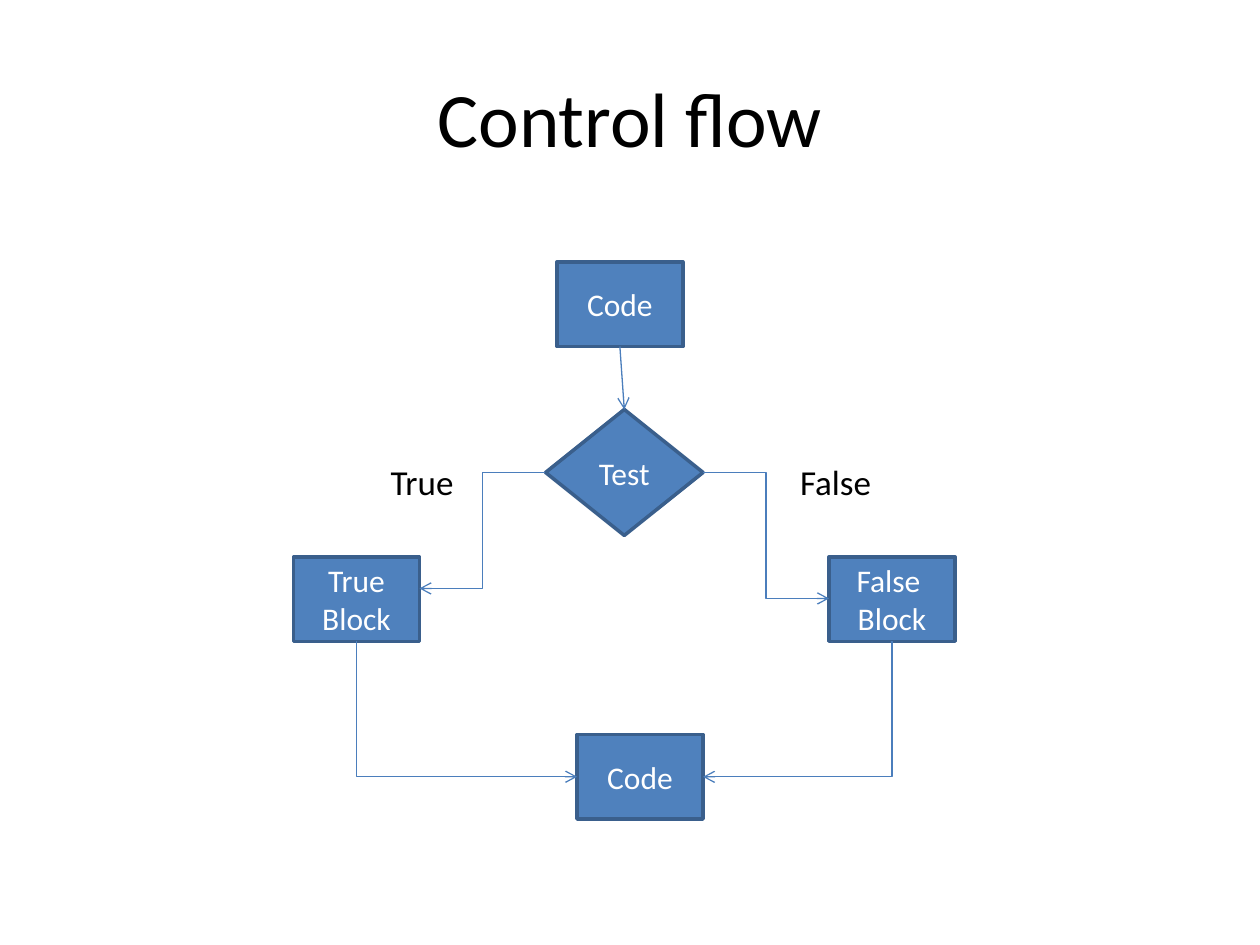
from lxml import etree
from pptx import Presentation
from pptx.dml.color import RGBColor
from pptx.enum.shapes import MSO_CONNECTOR, MSO_SHAPE
from pptx.enum.text import MSO_ANCHOR, PP_ALIGN
from pptx.oxml.ns import qn
from pptx.util import Inches, Pt

STRAIGHT, ELBOW = MSO_CONNECTOR.STRAIGHT, MSO_CONNECTOR.ELBOW
PROCESS, DECISION = MSO_SHAPE.FLOWCHART_PROCESS, MSO_SHAPE.FLOWCHART_DECISION
MIDDLE = MSO_ANCHOR.MIDDLE
CENTER, LEFT = PP_ALIGN.CENTER, PP_ALIGN.LEFT

BLACK, WHITE = "000000", "FFFFFF"
BLUE, EDGE, ARROW = "4F81BD", "3A5F8C", "4B7EBC"
BLOCK_SIZE = (1, 0.67)


def color(value):
    return RGBColor.from_string(value)


def write(shape, lines, size, ink, align=CENTER, inset=None):
    frame = shape.text_frame
    settings = {"word_wrap": True, "vertical_anchor": MIDDLE}
    if inset is not None:
        for side in ("left", "top", "right", "bottom"):
            settings["margin_" + side] = Inches(inset)
    for name, value in settings.items():
        setattr(frame, name, value)
    for index, line in enumerate(lines):
        para = frame.add_paragraph() if index else frame.paragraphs[0]
        para.alignment = align
        span = para.add_run()
        span.text = line
        for name, value in {"name": "Calibri", "size": Pt(size)}.items():
            setattr(span.font, name, value)
        span.font.color.rgb = color(ink)


def add_text(page, box, text, size, align=CENTER, inset=None):
    label = page.shapes.add_textbox(*map(Inches, box))
    write(label, [text], size, BLACK, align, inset)


def add_node(page, kind, box, lines):
    node = page.shapes.add_shape(kind, *map(Inches, box))
    node.shadow.inherit = False
    node.fill.solid()
    node.fill.fore_color.rgb = color(BLUE)
    node.line.color.rgb = color(EDGE)
    node.line.width = Pt(2)
    write(node, lines, 18, WHITE)
    return node


def add_arrow(page, kind, start, end):
    arrow = page.shapes.add_connector(kind, *map(Inches, start + end))
    arrow.line.color.rgb = color(ARROW)
    arrow.line.width = Pt(0.75)
    line = arrow.line._get_or_add_ln()
    etree.SubElement(line, qn("a:tailEnd"), type="arrow")
    etree.SubElement(arrow._element.spPr, qn("a:effectLst"))
    return arrow


def add_corner_arrow(page, start, end):
    middle_x, middle_y = (start[0] + end[0]) / 2, (start[1] + end[1]) / 2
    half_width = (end[1] - start[1]) / 2
    half_height = abs(end[0] - start[0]) / 2
    rightward = end[0] > start[0]
    if rightward:
        half_width = -half_width
    arrow = add_arrow(page, ELBOW,
                      (middle_x - half_width, middle_y - half_height),
                      (middle_x + half_width, middle_y + half_height))
    properties = arrow._element.spPr
    properties.find(qn("a:xfrm")).set("rot", str((270 if rightward else 90) * 60000))
    properties.find(qn("a:prstGeom")).set("prst", "bentConnector2")


def add_flowchart(page, box):
    left, top, width, height = box
    right, bottom = left + width, top + height
    block_width, block_height = BLOCK_SIZE
    branch_top = top + 2.34
    branch_bottom = branch_top + block_height
    final_left, final_top = left + 2.25, bottom - block_height
    final_middle = final_top + block_height / 2
    test_left, test_top, test_width = left + 2, top + 1.17, 1.25
    test_right, test_middle = test_left + test_width, test_top + 0.5

    test = add_node(page, DECISION, (test_left, test_top, test_width, 1), ["Test"])
    first = add_node(page, PROCESS, (left + 2.09, top, *BLOCK_SIZE), ["Code"])
    for x, y, lines in (
        (left, branch_top, ["True", "Block"]),
        (right - block_width, branch_top, ["False ", "Block"]),
        (final_left, final_top, ["Code"]),
    ):
        add_node(page, PROCESS, (x, y, *BLOCK_SIZE), lines)

    link = add_arrow(page, STRAIGHT, (4.92, 2.75), (4.96, 3.25))
    link.begin_connect(first, 2)
    link.end_connect(test, 0)
    add_arrow(page, ELBOW, (test_right, test_middle), (right - block_width, test_middle + 1))
    add_arrow(page, ELBOW, (test_left, test_middle), (left + block_width, test_middle + 0.92))
    add_corner_arrow(page, (left + block_width / 2, branch_bottom), (final_left, final_middle))
    add_corner_arrow(page, (right - block_width / 2, branch_bottom),
                     (final_left + block_width, final_middle))
    for x, text in ((left + 0.77, "True"), (left + 4.02, "False")):
        add_text(page, (x, top + 1.57, 0.7, 0.34), text, 20, LEFT, 0)


def main():
    deck = Presentation()
    deck.slide_width, deck.slide_height = Inches(10), Inches(7.5)
    page = deck.slides.add_slide(deck.slide_layouts[6])
    add_text(page, (0.5, 0.3, 9, 1.25), "Control flow", 44)
    add_flowchart(page, (2.33, 2.08, 5.25, 4.42))
    deck.save("out.pptx")


if __name__ == "__main__":
    main()
